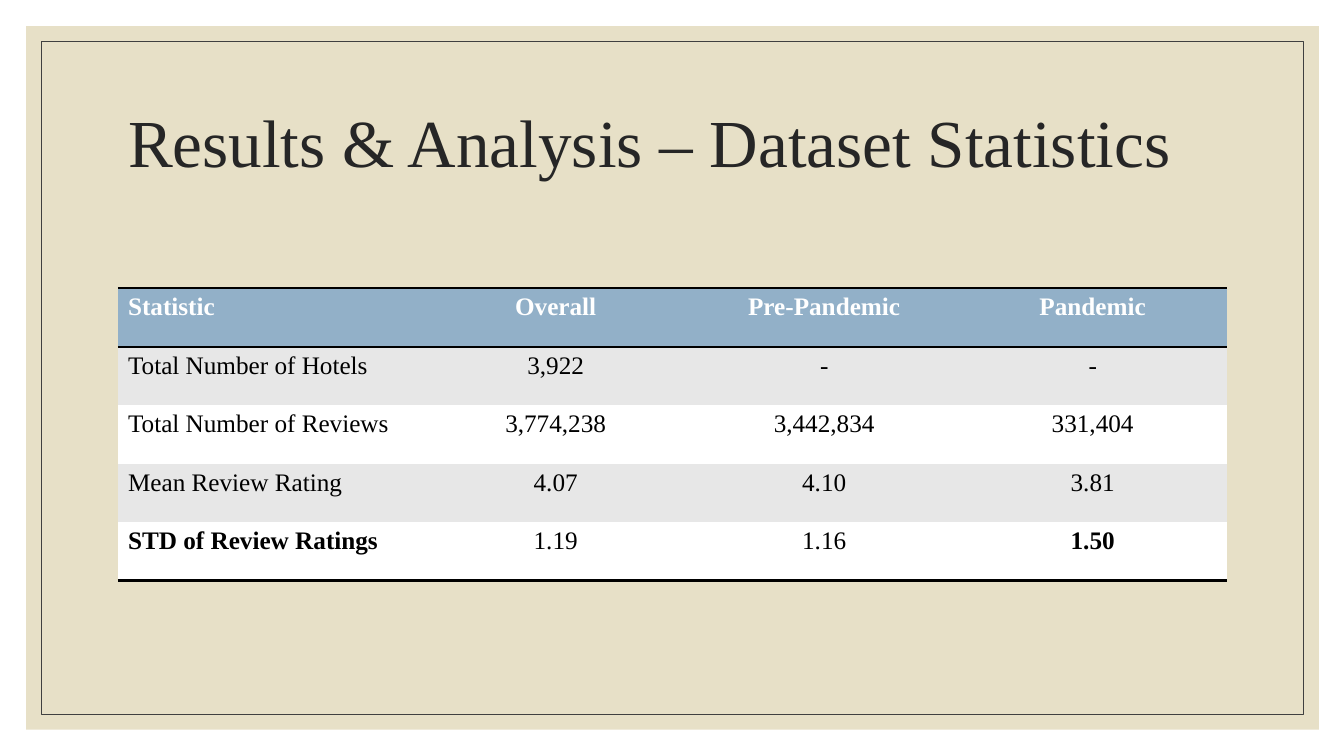
from lxml.etree import SubElement
from pptx import Presentation
from pptx.dml.color import RGBColor
from pptx.enum.shapes import MSO_SHAPE
from pptx.enum.text import MSO_ANCHOR, PP_ALIGN
from pptx.oxml.ns import qn
from pptx.util import Inches, Pt

COLORS = {"panel": "E7E0C7", "frame": "404040", "title": "262626",
          "header": "92B0C8", "band": "E7E7E7", "white": "FFFFFF",
          "black": "000000"}
FONT = "Times New Roman"
NO_STYLE = "{2D5ABB26-0587-4C30-8999-92F81FD0307C}"
ROWS = [
    ("Statistic", "Overall", "Pre-Pandemic", "Pandemic"),
    ("Total Number of Hotels", "3,922", "-", "-"),
    ("Total Number of Reviews", "3,774,238", "3,442,834", "331,404"),
    ("Mean Review Rating", "4.07", "4.10", "3.81"),
    ("STD of Review Ratings", "1.19", "1.16", "1.50"),
]
BOLD_CELLS = {(4, 0), (4, 3)}


def color(name):
    return RGBColor.from_string(COLORS[name])


def style_font(p, size, name, bold=False):
    p.font.name, p.font.size, p.font.bold = FONT, Pt(size), bold
    p.font.color.rgb = color(name)


def add_background(s, x, y, w, h):
    """Draw a filled panel with a thin frame inset in it."""
    inset = 0.15
    panel = s.shapes.add_shape(MSO_SHAPE.RECTANGLE, Inches(x), Inches(y),
                               Inches(w), Inches(h))
    panel.fill.solid()
    panel.fill.fore_color.rgb = color("panel")
    panel.line.fill.background()
    frame = s.shapes.add_shape(MSO_SHAPE.RECTANGLE,
                               Inches(x + inset), Inches(y + inset),
                               Inches(w - 2 * inset), Inches(h - 2 * inset))
    frame.fill.background()
    frame.line.color.rgb = color("frame")
    frame.line.width = Pt(0.5)
    for sp in (panel, frame):
        sp.shadow.inherit = False


def set_title(s, text, x, y, w, h):
    """Fill the title placeholder and bring it in front of the background."""
    sp = s.shapes.title
    sp.left, sp.top, sp.width, sp.height = map(Inches, (x, y, w, h))
    tf = sp.text_frame
    tf.text = text
    tf.word_wrap = True
    tf.vertical_anchor = MSO_ANCHOR.MIDDLE
    p = tf.paragraphs[0]
    p.alignment, p.line_spacing = PP_ALIGN.LEFT, 0.9
    style_font(p, 48, "title")
    s.shapes._spTree.append(sp._element)


def add_border(cell, side):
    ln = SubElement(cell._tc.get_or_add_tcPr(), qn(f"a:ln{side}"),
                    w=str(Pt(2)))
    fill = SubElement(ln, qn("a:solidFill"))
    SubElement(fill, qn("a:srgbClr"), val=COLORS["black"])


def add_statistics_table(s, x, y, w, h):
    last = len(ROWS) - 1
    table = s.shapes.add_table(len(ROWS), len(ROWS[0]), Inches(x), Inches(y),
                               Inches(w), Inches(h)).table
    table._tbl.tblPr.find(qn("a:tableStyleId")).text = NO_STYLE
    label_w = 3.01
    value_w = (w - label_w) / (len(ROWS[0]) - 1)
    for c, column in enumerate(table.columns):
        column.width = Inches(value_w if c else label_w)
    for r, row in enumerate(ROWS):
        for c, text in enumerate(row):
            cell = table.cell(r, c)
            if r == 0:
                add_border(cell, "T")
            if r in (0, last):
                add_border(cell, "B")
            cell.fill.solid()
            cell.fill.fore_color.rgb = color(
                "header" if r == 0 else "band" if r % 2 else "white")
            cell.text = text
            p = cell.text_frame.paragraphs[0]
            p.alignment = PP_ALIGN.CENTER if c else PP_ALIGN.LEFT
            style_font(p, 18, "black" if r else "white",
                       r == 0 or (r, c) in BOLD_CELLS)


def main():
    prs = Presentation()
    prs.slide_width, prs.slide_height = Inches(13.33), Inches(7.5)
    s = prs.slides.add_slide(prs.slide_layouts[5])
    add_background(s, 0.26, 0.26, 12.82, 6.98)
    set_title(s, "Results & Analysis – Dataset Statistics", 1.17, 0.7, 11, 1.5)
    add_statistics_table(s, 1.17, 2.86, 11, 2.9)
    prs.save("out.pptx")


if __name__ == "__main__":
    main()
